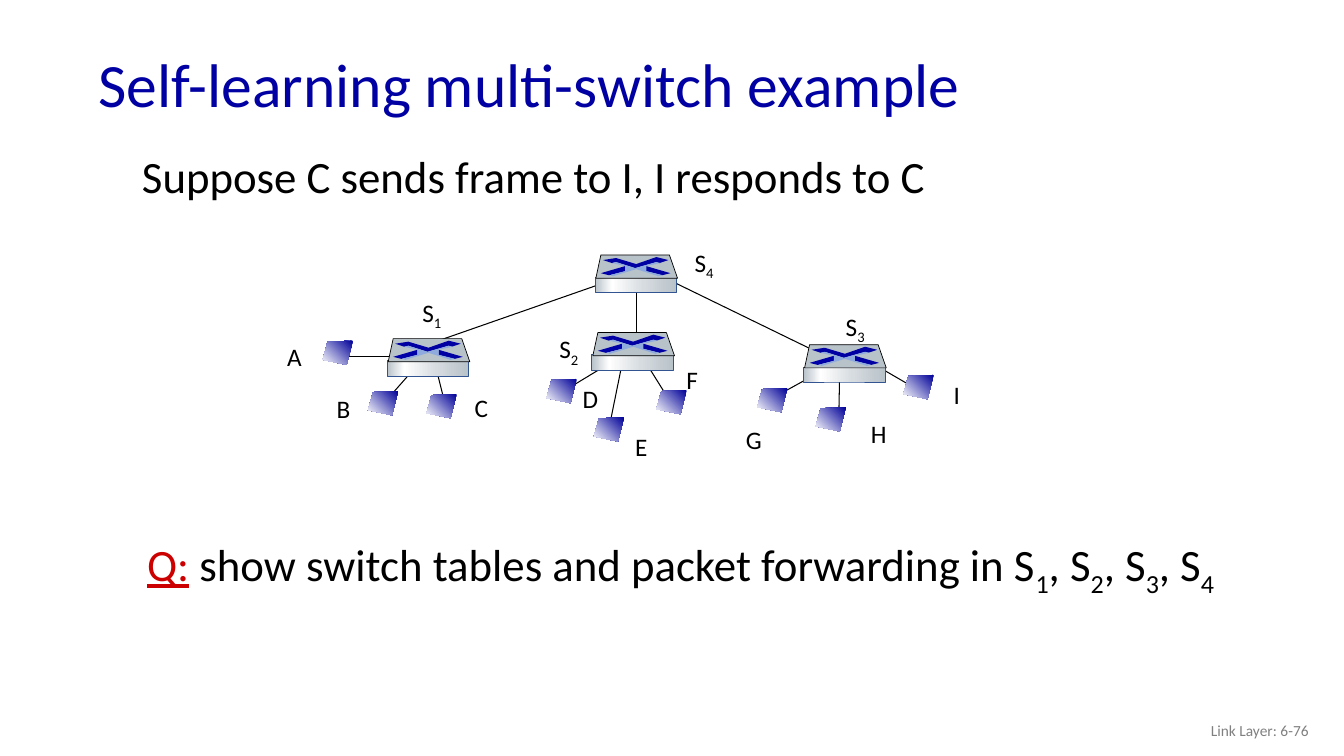
from lxml.etree import SubElement
from pptx import Presentation
from pptx.dml.color import RGBColor
from pptx.enum.shapes import MSO_CONNECTOR, MSO_SHAPE
from pptx.enum.text import MSO_ANCHOR, MSO_AUTO_SIZE, PP_ALIGN
from pptx.oxml.ns import qn
from pptx.util import Inches, Pt

HOST_OUTLINE = [(0.3, 0), (0.05, 0.01), (0, 0.19), (0.24, 0.24)]
HOST_STOPS = [(0, "000099"), (100, "FFFFFF")]
FRONT_STOPS = [(0, "B8C2C9"), (21, "FFFFFF"), (60, "D6DCE0"), (100, "B8C2C9")]
SWITCH_TOP = [(0.01, 0.23), (0.06, 0), (0.74, 0), (0.82, 0.23)]
SWITCH_MARKS = [
    ("0000A3", [(0.61, 0.02), (0.73, 0.05), (0.64, 0.08), (0.61, 0.07), (0.4, 0.13),
                (0.21, 0.07), (0.17, 0.08), (0.08, 0.05), (0.21, 0.03), (0.41, 0.09)]),
    ("0000A3", [(0.51, 0.11), (0.75, 0.18), (0.67, 0.2), (0.51, 0.16)]),
    ("0000A8", [(0.3, 0.11), (0.3, 0.16), (0.14, 0.2), (0.06, 0.18)]),
    ("8FAADC", [(0.17, 0.08), (0.21, 0.07), (0.4, 0.13), (0.61, 0.07), (0.65, 0.08),
                (0.51, 0.11), (0.51, 0.16), (0.67, 0.2), (0.63, 0.21), (0.41, 0.14),
                (0.18, 0.21), (0.15, 0.2), (0.3, 0.16), (0.3, 0.11)]),
]
# name: (host, label, link start, link end)
HOSTS = {
    "A": ((0.45, 0.98), (0, 0.94), (1.29, 1.14), (0.69, 1.14)),
    "B": ((0.9, 1.48), (0.49, 1.45), (1.41, 1.2), (1.11, 1.54)),
    "C": ((1.48, 1.51), (1.86, 1.44), (1.57, 1.23), (1.65, 1.55)),
    "D": ((2.67, 1.36), (2.93, 1.35), (3.32, 1.19), (2.94, 1.42)),
    "E": ((3.14, 1.74), (3.45, 1.83), (3.42, 1.21), (3.29, 1.85)),
    "F": ((3.76, 1.47), (3.96, 1.17), (3.62, 1.14), (3.87, 1.54)),
    "G": ((4.76, 1.45), (4.55, 1.76), (5.49, 1.23), (5.02, 1.49)),
    "H": ((5.34, 1.64), (5.79, 1.7), (5.58, 1.2), (5.57, 1.71)),
    "I": ((6.21, 1.32), (6.61, 1.31), (5.98, 1.25), (6.29, 1.43)),
}
SWITCHES = {
    "4": ((3.15, 0.13), (4.04, 0)),
    "3": ((5.22, 1.02), (5.54, 0.64)),
    "2": ((3.12, 0.9), (2.7, 0.86)),
    "1": ((1.09, 0.96), (1.34, 0.5)),
}
TRUNKS = [((3.23, 0.41), (1.57, 0.99)), ((3.56, 0.37), (3.56, 1.03)),
          ((5.37, 1.1), (3.83, 0.35))]


def rgb(color):
    """Turn a hex string into a colour."""
    return RGBColor.from_string(color)


def set_gradient(sp, stops, angle):
    """Fill a shape with a linear gradient, its angle clockwise in degrees."""
    sp.fill.gradient()
    grad = sp._element.spPr.find(qn("a:gradFill"))
    grad.set("rotWithShape", "1")
    for child in list(grad):
        grad.remove(child)
    gs_list = SubElement(grad, qn("a:gsLst"))
    for position, color in stops:
        gs = SubElement(gs_list, qn("a:gs"), pos=str(position * 1000))
        SubElement(gs, qn("a:srgbClr"), val=color)
    SubElement(grad, qn("a:lin"), ang=str(angle * 60000), scaled="0")


def set_line(sp, color=None):
    """Give a shape a thin outline, or none."""
    sp.shadow.inherit = False
    if color:
        sp.line.color.rgb = rgb(color)
        sp.line.width = Pt(0.5)
    else:
        sp.line.fill.background()


def add_outline(s, x, y, points, color=None, line=None):
    """Draw a closed polygon whose points are relative to x, y."""
    corners = [(Inches(x + dx), Inches(y + dy)) for dx, dy in points]
    builder = s.shapes.build_freeform(*corners[0])
    builder.add_line_segments(corners[1:], close=True)
    sp = builder.convert_to_shape()
    if color:
        sp.fill.solid()
        sp.fill.fore_color.rgb = rgb(color)
    set_line(sp, line)
    return sp


def add_link(s, x, y, start, end):
    """Draw a cable between two points relative to x, y."""
    ends = [Inches(v) for v in (x + start[0], y + start[1], x + end[0], y + end[1])]
    cxn = s.shapes.add_connector(MSO_CONNECTOR.STRAIGHT, *ends)
    cxn.line.color.rgb = rgb("000000")
    cxn.line.width = Pt(0.75)
    SubElement(cxn._element.spPr, qn("a:effectLst"))


def add_text(s, x, y, w, h, text, size, color="000000", wrap=True):
    """Add a one-paragraph text box in which _ precedes a subscript digit."""
    tf = s.shapes.add_textbox(Inches(x), Inches(y), Inches(w), Inches(h)).text_frame
    tf.word_wrap = wrap
    p = tf.paragraphs[0]
    p.font.name = "Calibri"
    p.font.size = Pt(size)
    p.font.color.rgb = rgb(color)
    first, *rest = text.split("_")
    add_run(p, first)
    for part in rest:
        add_run(p, part[0])._r.get_or_add_rPr().set("baseline", "-25000")
        add_run(p, part[1:])
    return tf


def add_run(p, text):
    """Append a run unless it would be empty."""
    if text:
        r = p.add_run()
        r.text = text
        return r


def add_label(s, x, y, w, text):
    """Name a host or a switch."""
    tf = add_text(s, x, y, w, 0.4, text, 18, wrap=False)
    tf.auto_size = MSO_AUTO_SIZE.SHAPE_TO_FIT_TEXT


def add_switch(s, x, y):
    """Draw a switch with its crossed arrows."""
    front = s.shapes.add_shape(MSO_SHAPE.RECTANGLE, Inches(x), Inches(y + 0.22),
                               Inches(0.81), Inches(0.15))
    set_gradient(front, FRONT_STOPS, 0)
    set_line(front, "325491")
    add_outline(s, x, y, SWITCH_TOP, "B8C2C9", "000000")
    for color, points in SWITCH_MARKS:
        add_outline(s, x, y, points, color)


def add_network(s, x, y):
    """Draw the hosts, switches and cables from the top left corner x, y."""
    for start, end in TRUNKS + [host[2:] for host in HOSTS.values()]:
        add_link(s, x, y, start, end)
    for name, (host, label, _, _) in HOSTS.items():
        set_gradient(add_outline(s, x + host[0], y + host[1], HOST_OUTLINE), HOST_STOPS, 135)
        add_label(s, x + label[0], y + label[1], 0.27 if name == "I" else 0.34, name)
    for number, (switch, label) in SWITCHES.items():
        add_switch(s, x + switch[0], y + switch[1])
        add_label(s, x + label[0], y + label[1], 0.4, "S_" + number)


def add_title(s, x, y, w, h):
    """Write the slide title."""
    tf = add_text(s, x, y, w, h, "Self-learning multi-switch example", 44, "0000A3")
    tf.vertical_anchor = MSO_ANCHOR.MIDDLE
    tf.paragraphs[0].line_spacing = 0.9


def add_scenario(s, x, y, w, h):
    """State what the hosts send."""
    tf = add_text(s, x, y, w, h, "Suppose C sends frame to I, I responds to C", 32)
    p = tf.paragraphs[0]
    p.line_spacing = 0.9
    pPr = p._p.get_or_add_pPr()
    pPr.set("marL", str(Inches(0.39)))
    pPr.set("indent", str(Inches(-0.24)))


def add_question(s, x, y, w, h):
    """Ask the question, its mark underlined in red."""
    tf = add_text(s, x, y, w, h, "Q:", 32)
    p = tf.paragraphs[0]
    p.line_spacing = 0.85
    mark = p.runs[0]
    mark.font.underline = True
    mark.font.color.rgb = rgb("CC0000")
    add_run(p, " show switch tables and packet forwarding in ")
    for number in "1234":
        add_run(p, "S" if number == "1" else ", S")
        add_run(p, number)._r.get_or_add_rPr().set("baseline", "-25000")


def add_footer(s, x, y, w, h):
    """Write the chapter and slide number."""
    tf = add_text(s, x, y, w, h, "Link Layer: 6-76", 11, "808080")
    tf.vertical_anchor = MSO_ANCHOR.MIDDLE
    tf.paragraphs[0].alignment = PP_ALIGN.RIGHT


def main():
    """Build the slide and save it."""
    prs = Presentation()
    prs.slide_width, prs.slide_height = Inches(13.33), Inches(7.5)
    s = prs.slides.add_slide(prs.slide_layouts[6])
    add_title(s, 0.88, 0.38, 11.5, 0.98)
    add_footer(s, 10.08, 7.05, 3, 0.4)
    add_scenario(s, 1.16, 1.49, 9.56, 0.88)
    add_question(s, 1.36, 5.31, 11.98, 2.02)
    add_network(s, 2.75, 2.4)
    prs.save("out.pptx")


if __name__ == "__main__":
    main()
